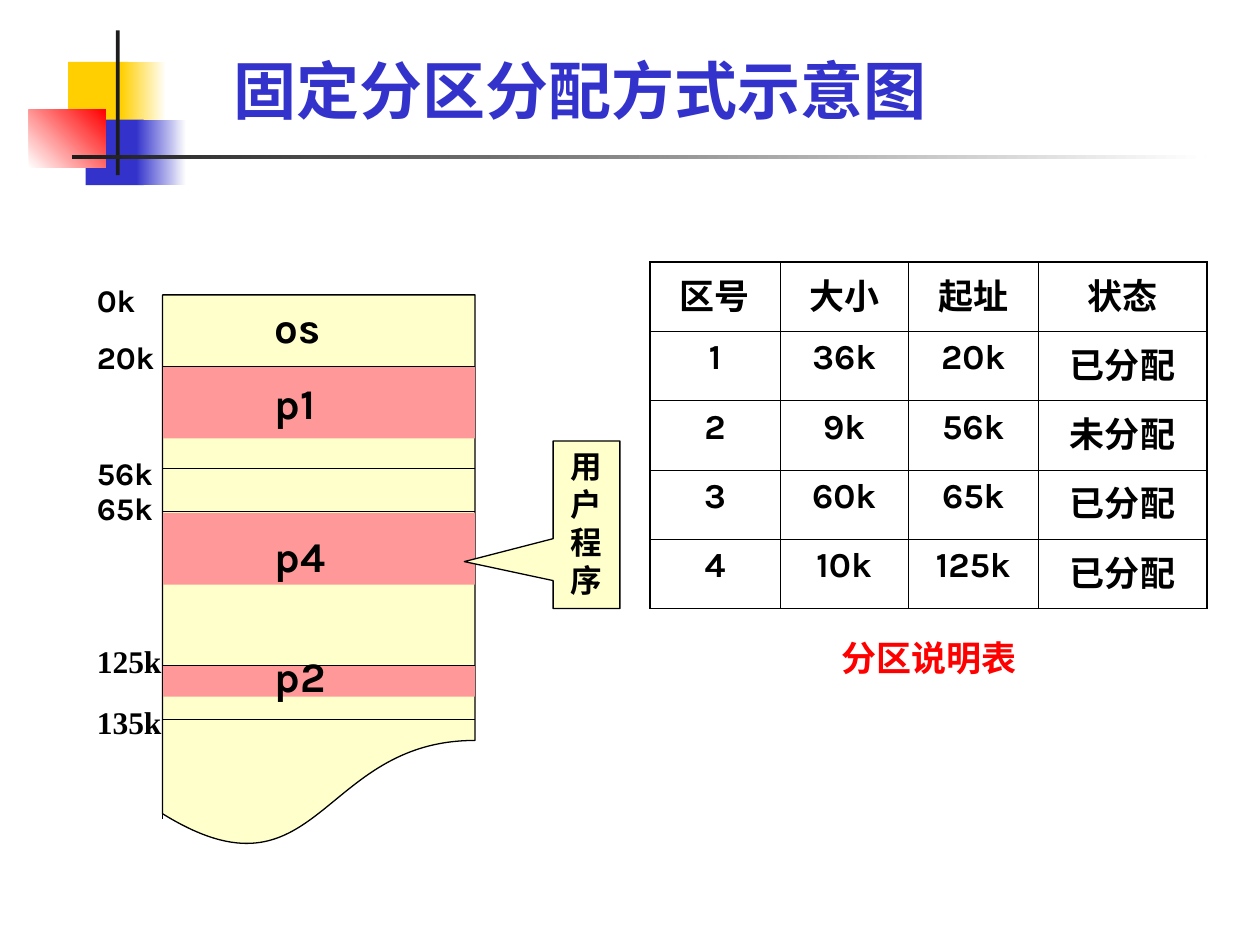
from dataclasses import dataclass

from lxml.etree import SubElement
from pptx import Presentation
from pptx.dml.color import RGBColor
from pptx.enum.shapes import MSO_CONNECTOR as Link, MSO_SHAPE as Shape
from pptx.enum.text import MSO_ANCHOR as Anchor, PP_ALIGN as Align
from pptx.oxml.ns import qn
from pptx.util import Inches, Pt

COLORS = {
    "ink": "000000", "bar": "1C1C1C", "white": "FFFFFF", "gold": "FFCF01",
    "blue": "3333CC", "red": "FF0000", "memory": "FFFFCC", "program": "FF9999",
}
LATIN, HAN, SERIF = "Karla", "Noto Sans CJK SC", "Times New Roman"
UNIT = 0.1  # the slide is a grid of 100 columns by 75 rows


@dataclass
class Box:
    """A region of the slide, measured in grid columns and rows."""
    col: float
    row: float
    cols: float
    rows: float

    def area(self, col, row, cols, rows):
        return Box(self.col + col, self.row + row, cols, rows)

    def place(self):
        return [Inches(n * UNIT) for n in (self.col, self.row, self.cols, self.rows)]


def rgb(name):
    return RGBColor.from_string(COLORS[name])


def style(paragraph, size, color="ink", face=LATIN, han=None):
    font = paragraph.font
    font.size, font.bold, font.name = Pt(size), True, face
    font.color.rgb = rgb(color)
    defaults = paragraph._p.pPr.find(qn("a:defRPr"))
    SubElement(defaults, qn("a:ea")).set("typeface", han or face)


def add_block(slide, box, fill, preset=Shape.RECTANGLE, fade_to=None, angle=0, outlined=False):
    block = slide.shapes.add_shape(preset, *box.place())
    block.shadow.inherit = False
    if fade_to:
        block.fill.gradient()
        block.fill.gradient_angle = angle
        for stop, name in zip(block.fill.gradient_stops, (fill, fade_to)):
            stop.color.rgb = rgb(name)
    else:
        block.fill.solid()
        block.fill.fore_color.rgb = rgb(fill)
    if outlined:
        block.line.color.rgb, block.line.width = rgb("ink"), Pt(0.75)
    else:
        block.line.fill.background()
    return block


def add_rule(slide, box):
    left, top, width, height = box.place()
    rule = slide.shapes.add_connector(Link.STRAIGHT, left, top, left + width, top + height)
    rule.line.color.rgb, rule.line.width = rgb("ink"), Pt(0.75)
    SubElement(rule._element.spPr, qn("a:effectLst"))


def add_label(slide, box, text, size, color="ink"):
    frame = slide.shapes.add_textbox(*box.place()).text_frame
    frame.word_wrap = True
    frame.text = text
    style(frame.paragraphs[0], size, color)


def add_title(slide, box, text):
    title = slide.shapes.title
    title.left, title.top, title.width, title.height = box.place()
    title.text_frame.text = text
    title.text_frame.vertical_anchor = Anchor.BOTTOM
    paragraph = title.text_frame.paragraphs[0]
    paragraph.alignment = Align.LEFT
    style(paragraph, 36, "blue", HAN)


def add_ornament(slide, box):
    # Coloured squares, each fading out to the right
    for color, col, row, solid, fade_col, fade in (
        ("gold", 3.1, 2.5, 4.8, 7.3, 3.6),
        ("blue", 4.5, 7.1, 4.6, 8.5, 4),
    ):
        add_block(slide, box.area(col, row, solid, 5.2), color)
        add_block(slide, box.area(fade_col, row, fade, 5.2), color, fade_to="white")
    add_block(slide, box.area(0, 6.3, 6.1, 4.6), "white", fade_to="red", angle=45)
    # Crossing bars
    add_block(slide, box.area(6.9, 0, 0.3, 11.5), "bar")
    add_block(slide, box.area(3.4, 9.9, 90, 0.35), "bar", fade_to="white")


def add_memory_map(slide, box):
    add_block(slide, box, "memory", Shape.FLOWCHART_DOCUMENT, outlined=True)
    # Space taken by programs
    for row, rows in ((5.7, 5.7), (17.3, 5.7), (29.4, 2.5)):
        add_block(slide, box.area(0, row, box.cols, rows), "program")
    # Partition boundaries and left edge
    for row in (5.7, 13.8, 17.2, 29.4, 33.7):
        add_rule(slide, box.area(0, row, box.cols, 0))
    add_rule(slide, box.area(0, 0, 0, 41.6))
    for name, row in (("os", 0), ("p1", 6.1), ("p4", 18.2), ("p2", 27.7)):
        add_label(slide, box.area(7.9, row, 7.1, 5), name, 24)


def add_addresses(slide, box):
    frame = slide.shapes.add_textbox(*box.place()).text_frame
    frame.word_wrap = True
    # Start address, gap above in points, typeface
    for index, (address, gap, face) in enumerate((
        ("0k", 0, LATIN), ("20k", 13, LATIN), ("56k", 46, LATIN),
        ("65k", 0, LATIN), ("125k", 67.5, SERIF), ("135k", 15, SERIF),
    )):
        line = frame.add_paragraph() if index else frame.paragraphs[0]
        line.text = address
        line.line_spacing, line.space_before = Pt(20), Pt(gap)
        style(line, 18, face=face)


def add_callout(slide, box, text):
    callout = add_block(slide, box, "memory", Shape.RECTANGULAR_CALLOUT, outlined=True)
    callout.adjustments[0], callout.adjustments[1] = -1.83, 0.22
    frame = callout.text_frame
    frame.word_wrap, frame.vertical_anchor = True, Anchor.TOP
    frame.text = text
    frame.paragraphs[0].alignment = Align.CENTER
    style(frame.paragraphs[0], 18)


def set_borders(cell, outer_sides):
    for side in "LRTB":
        width = Pt(1.08 if side in outer_sides else 0.45)
        edge = SubElement(cell._tc.get_or_add_tcPr(), qn(f"a:ln{side}"), w=str(width))
        paint = SubElement(edge, qn("a:solidFill"))
        SubElement(paint, qn("a:srgbClr"), val=COLORS["ink"])
    cell.fill.background()


def add_partition_table(slide, box, rows):
    widths = (10.3, 10.2, 10.3, 13.4)
    table = slide.shapes.add_table(len(rows), len(widths), *box.place()).table
    table.first_row = table.horz_banding = False
    for column, width in zip(table.columns, widths):
        column.width = Inches(width * UNIT)
    for r, values in enumerate(rows):
        table.rows[r].height = Inches(box.rows * UNIT / len(rows))
        for c, value in enumerate(values):
            cell = table.cell(r, c)
            cell.text = value
            paragraph = cell.text_frame.paragraphs[0]
            paragraph.alignment = Align.CENTER
            style(paragraph, 20, han=HAN)
            edges = {"T": r == 0, "B": r == len(rows) - 1,
                     "L": c == 0, "R": c == len(values) - 1}
            set_borders(cell, [side for side, outer in edges.items() if outer])


def main():
    deck = Presentation()
    deck.slide_width, deck.slide_height = Inches(100 * UNIT), Inches(75 * UNIT)
    slide = deck.slides.add_slide(deck.slide_layouts[5])

    add_ornament(slide, Box(2.3, 2.4, 93.4, 12.3))
    add_title(slide, Box(17.5, 1.3, 75.8, 9.3), "固定分区分配方式示意图")
    add_memory_map(slide, Box(12.9, 23.4, 24.8, 44.1))
    add_addresses(slide, Box(6.7, 22, 8, 37.4))
    add_callout(slide, Box(43.9, 35, 5.3, 13.3), "用户程序")
    add_partition_table(slide, Box(51.6, 20.8, 44.2, 27.5), (
        ("区号", "大小", "起址", "状态"),
        ("1", "36k", "20k", "已分配"),
        ("2", "9k", "56k", "未分配"),
        ("3", "60k", "65k", "已分配"),
        ("4", "10k", "125k", "已分配"),
    ))
    add_label(slide, Box(65.8, 50, 20.8, 4.4), "分区说明表", 20, "red")
    deck.save("out.pptx")


if __name__ == "__main__":
    main()
